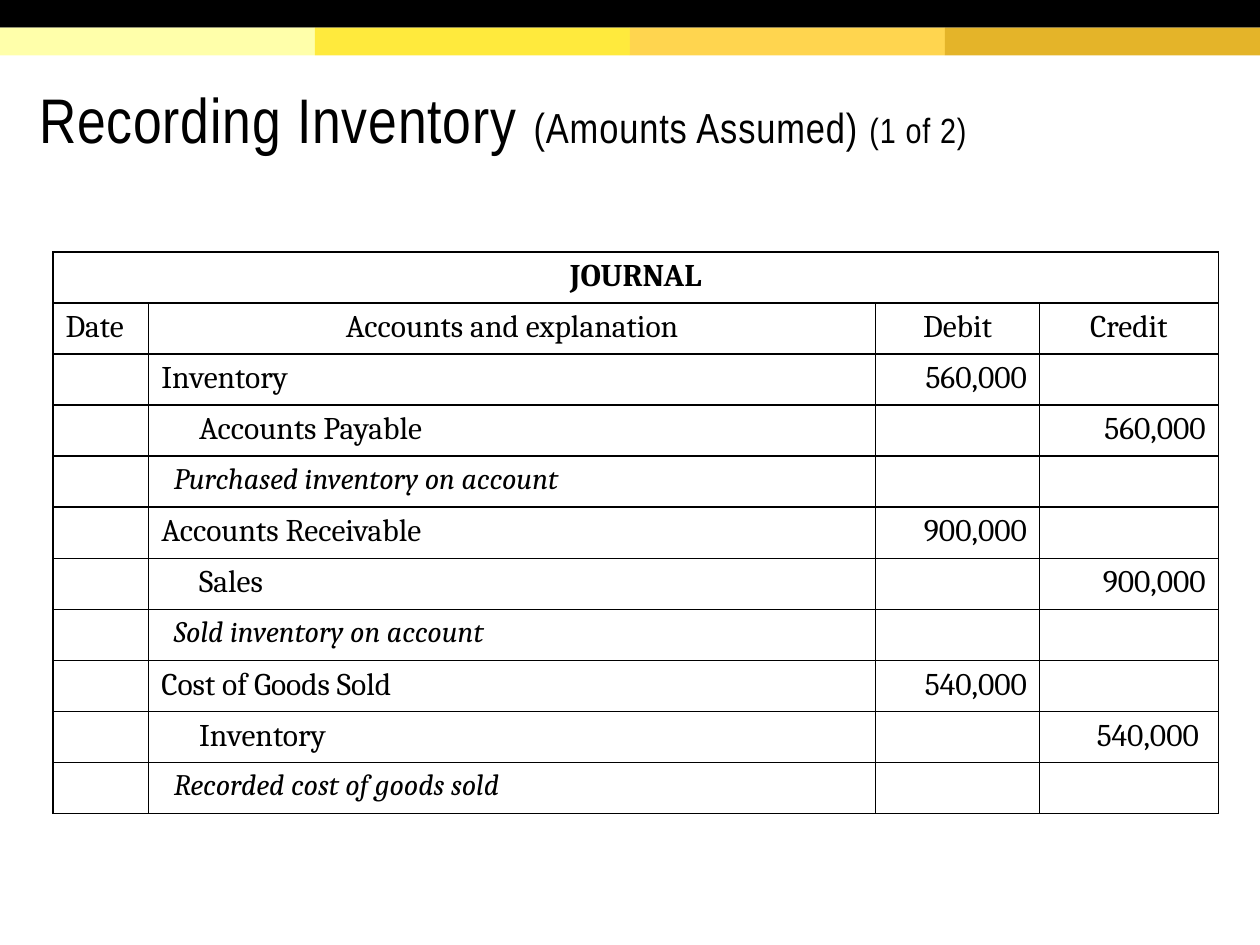
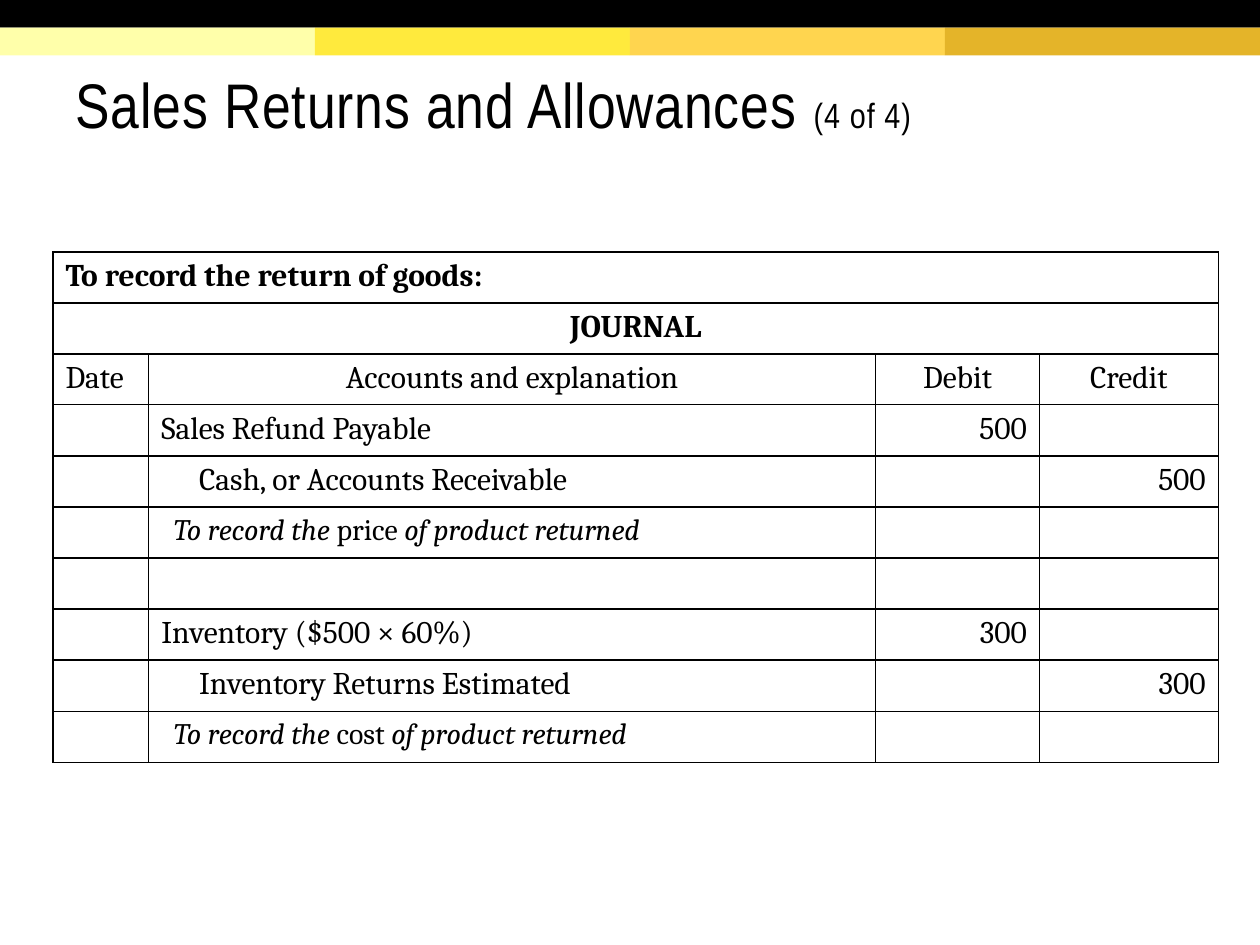
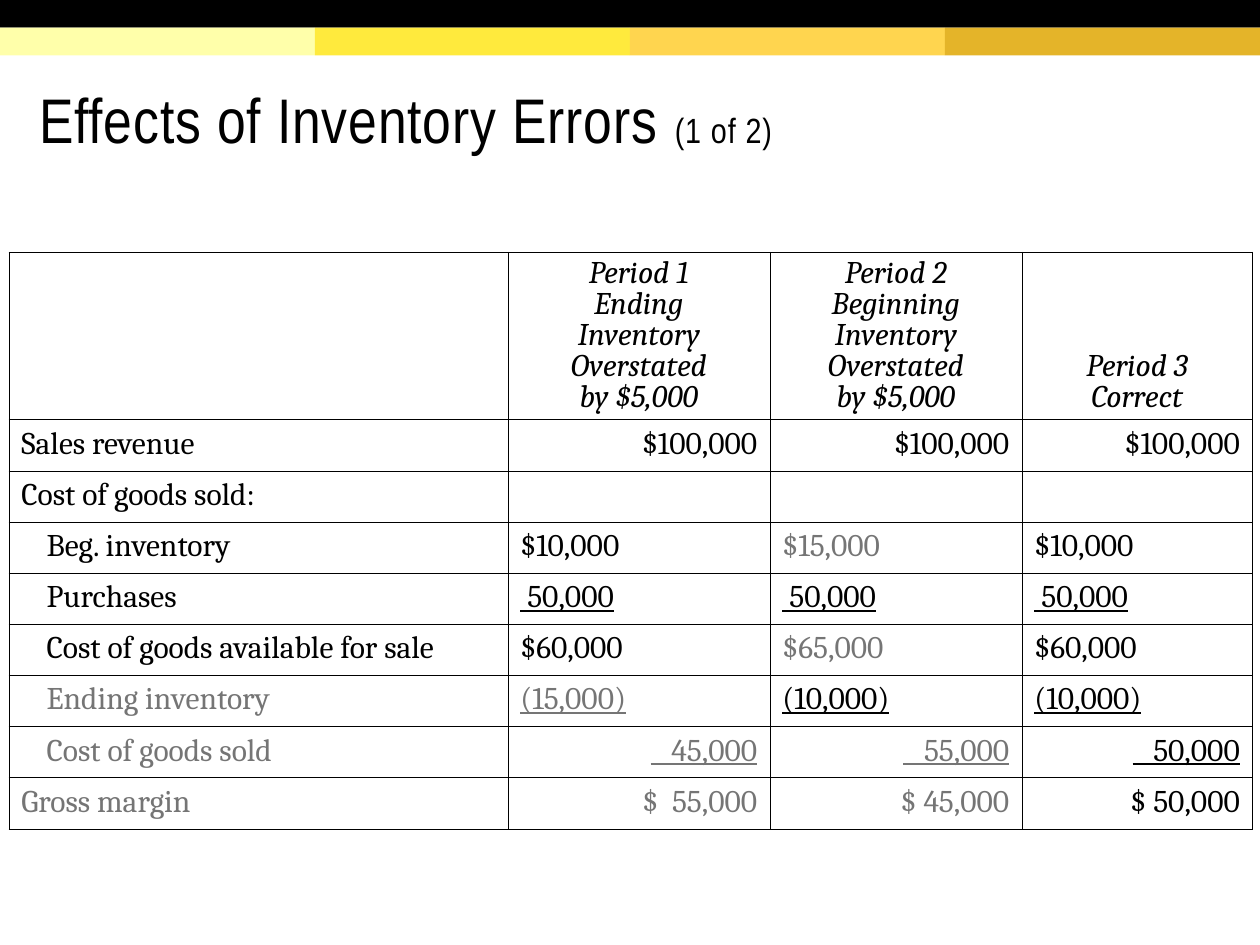
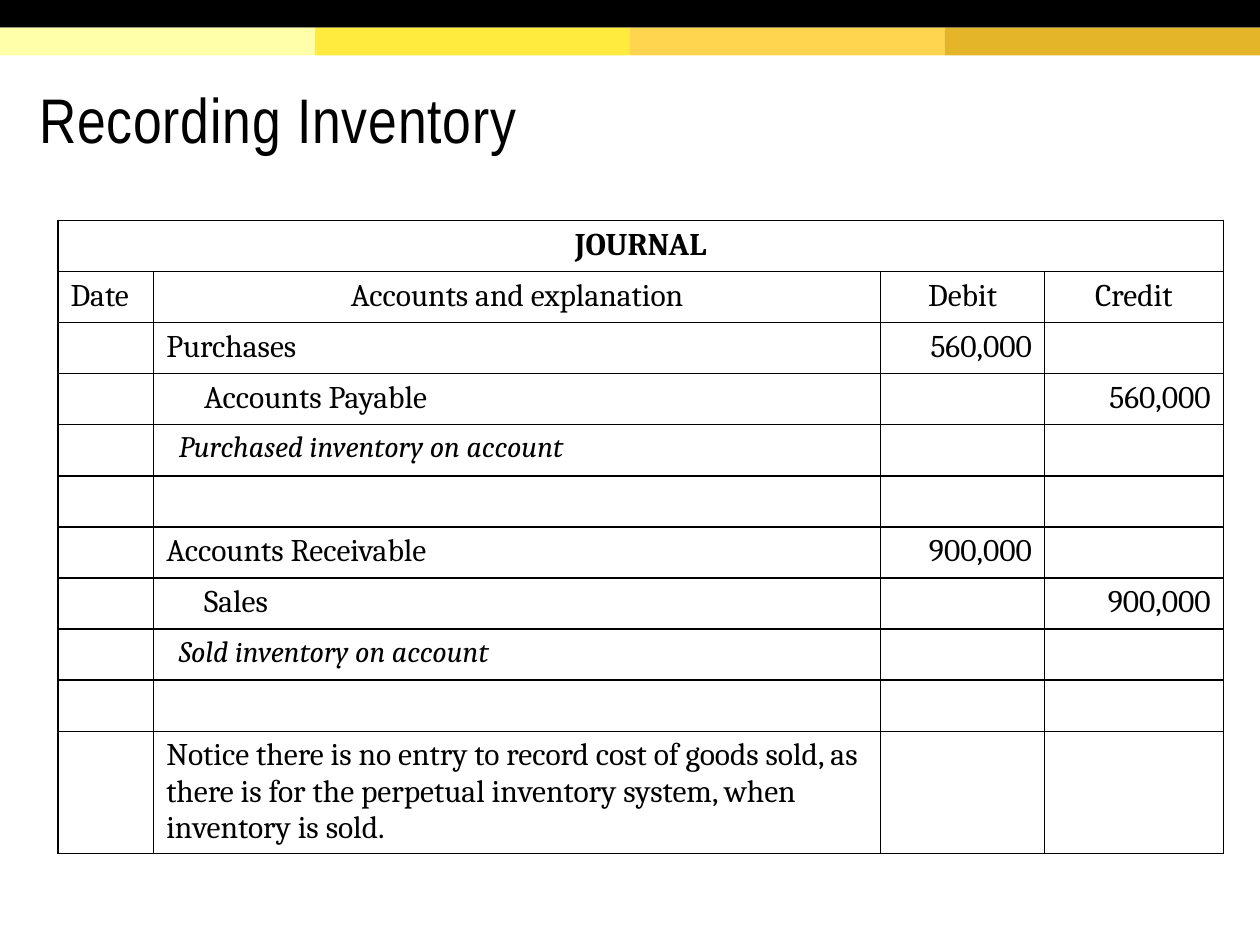
import lxml.etree
import pptx
import pptx.dml.color
import pptx.enum.shapes
import pptx.enum.text
import pptx.oxml.ns
import pptx.util

Inches, Pt = pptx.util.Inches, pptx.util.Pt
RGB = pptx.dml.color.RGBColor.from_string
ALIGN = pptx.enum.text.PP_ALIGN
ANCHOR = pptx.enum.text.MSO_ANCHOR
qn = pptx.oxml.ns.qn


class Theme:
    black, grey = "000000", "757575"
    bands = ["FFFFAA", "FFEA3D", "FFD54F", "E4B429"]
    band_height = 0.22
    title_font, body_font = "Arial Narrow", "Cambria"
    title, subtitle, counter = 36, 24, 20
    body, note = 18, 17


def add_grid(s, left, top, widths, heights, line):
    """Add an unfilled table with black borders of the given width in points."""
    table = s.shapes.add_table(
        len(heights), len(widths), Inches(left), Inches(top),
        Inches(sum(widths)), Inches(sum(heights))).table
    table.first_row = table.horz_banding = False
    for column, width in zip(table.columns, widths):
        column.width = Inches(width)
    for row, height in zip(table.rows, heights):
        row.height = Inches(height)
    for cell in table.iter_cells():
        tcPr = cell._tc.get_or_add_tcPr()
        for side in ("a:lnL", "a:lnR", "a:lnT", "a:lnB"):
            ln = lxml.etree.SubElement(tcPr, qn(side), w=str(Pt(line)))
            fill = lxml.etree.SubElement(ln, qn("a:solidFill"))
            lxml.etree.SubElement(fill, qn("a:srgbClr"), val=Theme.black)
        cell.fill.background()
    return table


def write_cell(cell, text, align=ALIGN.LEFT, indent=0, size=Theme.body, bold=False,
               italic=False, underline=False, color=Theme.black, spacing=None):
    """Write one paragraph per line; words between bars are upright in italic text."""
    tf = cell.text_frame
    for n, line in enumerate(text.split("\n")):
        p = tf.add_paragraph() if n else tf.paragraphs[0]
        p.alignment = align
        if indent:
            p._p.get_or_add_pPr().set("marL", str(Inches(indent)))
        if spacing:
            p.line_spacing = spacing
        p.font.name, p.font.size = Theme.body_font, Pt(size)
        p.font.bold, p.font.underline = bold, underline
        p.font.color.rgb = RGB(color)
        parts = line.split("|")
        if len(parts) == 1:
            p.font.italic = italic
        for k, part in enumerate(parts):
            r = p.add_run()
            r.text = part
            if len(parts) > 1:
                r.font.italic = italic and k % 2 == 0


prs = pptx.Presentation()
prs.slide_width, prs.slide_height = Inches(10), Inches(7.5)

# Titles
usual_place, high_place = (0.21, 0.47, 9.49, 0.98), (0.5, 0.24, 9.25, 1.2)
titles = [
    (usual_place, [("Recording Inventory ", Theme.title),
                   ("(Amounts Assumed) ", Theme.subtitle), ("(1 of 2)", Theme.counter)]),
    (high_place, [("Sales Returns and Allowances ", Theme.title), ("(4 of 4)", Theme.counter)]),
    (usual_place, [("Effects of Inventory Errors ", Theme.title), ("(1 of 2)", Theme.counter)]),
    (usual_place, [("Recording Inventory", Theme.title)]),
]
slides = []
for place, parts in titles:
    s = prs.slides.add_slide(prs.slide_layouts[5])
    slides.append(s)
    title = s.shapes.title
    title.left, title.top, title.width, title.height = map(Inches, place)
    tf = title.text_frame
    tf.auto_size = pptx.enum.text.MSO_AUTO_SIZE.NONE
    tf.word_wrap = True
    tf.vertical_anchor = ANCHOR.MIDDLE
    tf.margin_left = tf.margin_right = tf.margin_top = Inches(0.1)
    tf.margin_bottom = Inches(0.05)
    p = tf.paragraphs[0]
    p.alignment, p.line_spacing = ALIGN.LEFT, 0.85
    p.font.name, p.font.color.rgb = Theme.title_font, RGB(Theme.black)
    for text, size in parts:
        r = p.add_run()
        r.text, r.font.size = text, Pt(size)
        r._r.get_or_add_rPr().set("spc", "50")

# Bands are drawn once and moved to the slide master
band_width = 10 / len(Theme.bands)
bands = [(0, 0, 10, Theme.black)]
bands += [(i * band_width, Theme.band_height, band_width, color)
          for i, color in enumerate(Theme.bands)]
for left, top, width, color in bands:
    sp = slides[0].shapes.add_shape(
        pptx.enum.shapes.MSO_SHAPE.RECTANGLE, Inches(left), Inches(top),
        Inches(width), Inches(Theme.band_height))
    sp.shadow.inherit = False
    sp.fill.solid()
    sp.fill.fore_color.rgb = RGB(color)
    sp.line.fill.background()
    prs.slide_master.shapes._spTree.append(sp._element)

# Journals: slide, left, top, height of the even rows, height of a closing remark, entries
journals = [
    (slides[0], 0.42, 2, 4.45, None, [
        ("heading", "JOURNAL"),
        ("columns",),
        ("debit", "Inventory", "560,000"),
        ("credit", "Accounts Payable", "560,000"),
        ("note", "Purchased inventory on account"),
        ("debit", "Accounts Receivable", "900,000"),
        ("credit", "Sales", "900,000"),
        ("note", "Sold inventory on account"),
        ("debit", "Cost of Goods Sold", "540,000"),
        ("credit", "Inventory", "540,000 "),
        ("note", "Recorded cost of goods sold"),
    ]),
    (slides[1], 0.42, 2, 4.04, None, [
        ("caption", "To record the return of goods:"),
        ("heading", "JOURNAL"),
        ("columns",),
        ("debit", "Sales Refund Payable", "500"),
        ("credit", "Cash, or Accounts Receivable", "500"),
        ("note", "To record the |price| of product returned"),
        ("blank",),
        ("debit", "Inventory ($500 × 60%)", "300"),
        ("credit", "Inventory Returns Estimated", "300"),
        ("note", "To record the |cost| of product returned"),
    ]),
    (slides[3], 0.46, 1.75, 4.05, 0.97, [
        ("heading", "JOURNAL"),
        ("columns",),
        ("debit", "Purchases", "560,000"),
        ("credit", "Accounts Payable", "560,000"),
        ("note", "Purchased inventory on account"),
        ("blank",),
        ("debit", "Accounts Receivable", "900,000"),
        ("credit", "Sales", "900,000"),
        ("note", "Sold inventory on account"),
        ("blank",),
        ("remark", "Notice there is no entry to record cost of goods sold, as there is "
                   "for the perpetual inventory system, when inventory is sold."),
    ]),
]
for s, left, top, even_height, remark_height, entries in journals:
    even_rows = len(entries) - bool(remark_height)
    heights = [even_height / even_rows] * even_rows
    if remark_height:
        heights.append(remark_height)
    table = add_grid(s, left, top, [0.76, 5.77, 1.3, 1.42], heights, 1)
    for row, (kind, *texts) in enumerate(entries):
        date, account, debit, credit = (table.cell(row, col) for col in range(4))
        if kind in ("heading", "caption"):
            date.merge(credit)
            align = ALIGN.CENTER if kind == "heading" else ALIGN.LEFT
            write_cell(date, texts[0], align, bold=True)
        elif kind == "columns":
            write_cell(date, "Date")
            write_cell(account, "Accounts and explanation", ALIGN.CENTER)
            write_cell(debit, "Debit", ALIGN.CENTER)
            write_cell(credit, "Credit", ALIGN.CENTER)
        elif kind == "debit":
            write_cell(account, texts[0])
            write_cell(debit, texts[1], ALIGN.RIGHT)
        elif kind == "credit":
            write_cell(account, texts[0], indent=0.3)
            write_cell(credit, texts[1], ALIGN.RIGHT)
        elif kind == "note":
            write_cell(account, texts[0], indent=0.1, size=Theme.note, italic=True)
        elif kind == "remark":
            write_cell(account, texts[0])

# Inventory errors
periods = ["", "Period 1\nEnding\nInventory\nOverstated\nby $5,000",
           "Period 2\nBeginning\nInventory\nOverstated\nby $5,000", "Period 3\nCorrect"]
# Label, label indent, amount alignment, underlined amounts, grey columns, amounts
lines = [
    ("Sales revenue", 0, ALIGN.RIGHT, False, [], ["$100,000"] * 3),
    ("Cost of goods sold:", 0, ALIGN.LEFT, False, [], []),
    ("Beg. inventory", 0.2, ALIGN.LEFT, False, [2], ["$10,000", "$15,000", "$10,000"]),
    ("Purchases", 0.2, ALIGN.LEFT, True, [], [" 50,000"] * 3),
    ("Cost of goods available for sale", 0.2, ALIGN.LEFT, False, [2],
     ["$60,000", "$65,000", "$60,000"]),
    ("Ending inventory", 0.2, ALIGN.LEFT, True, [0, 1], ["(15,000)", "(10,000)", "(10,000)"]),
    ("Cost of goods sold", 0.2, ALIGN.RIGHT, True, [0, 1, 2],
     ["   45,000", "   55,000", "   50,000"]),
    ("Gross margin", 0, ALIGN.RIGHT, False, [0, 1, 2], ["$  55,000", "$ 45,000", "$ 50,000"]),
]
table = add_grid(slides[2], 0.07, 2, [3.96, 2.08, 2, 1.83],
                 [1.33] + [3.25 / len(lines)] * len(lines), 0.25)
for col, period in enumerate(periods):
    if period:
        cell = table.cell(0, col)
        cell.vertical_anchor = ANCHOR.BOTTOM
        write_cell(cell, period, ALIGN.CENTER, italic=True, spacing=0.85)
for row, (label, indent, align, underline, grey, amounts) in enumerate(lines, 1):
    colors = [Theme.grey if col in grey else Theme.black for col in range(4)]
    write_cell(table.cell(row, 0), label, indent=indent, color=colors[0])
    for col, amount in enumerate(amounts, 1):
        write_cell(table.cell(row, col), amount, align, underline=underline, color=colors[col])

prs.save("out.pptx")
